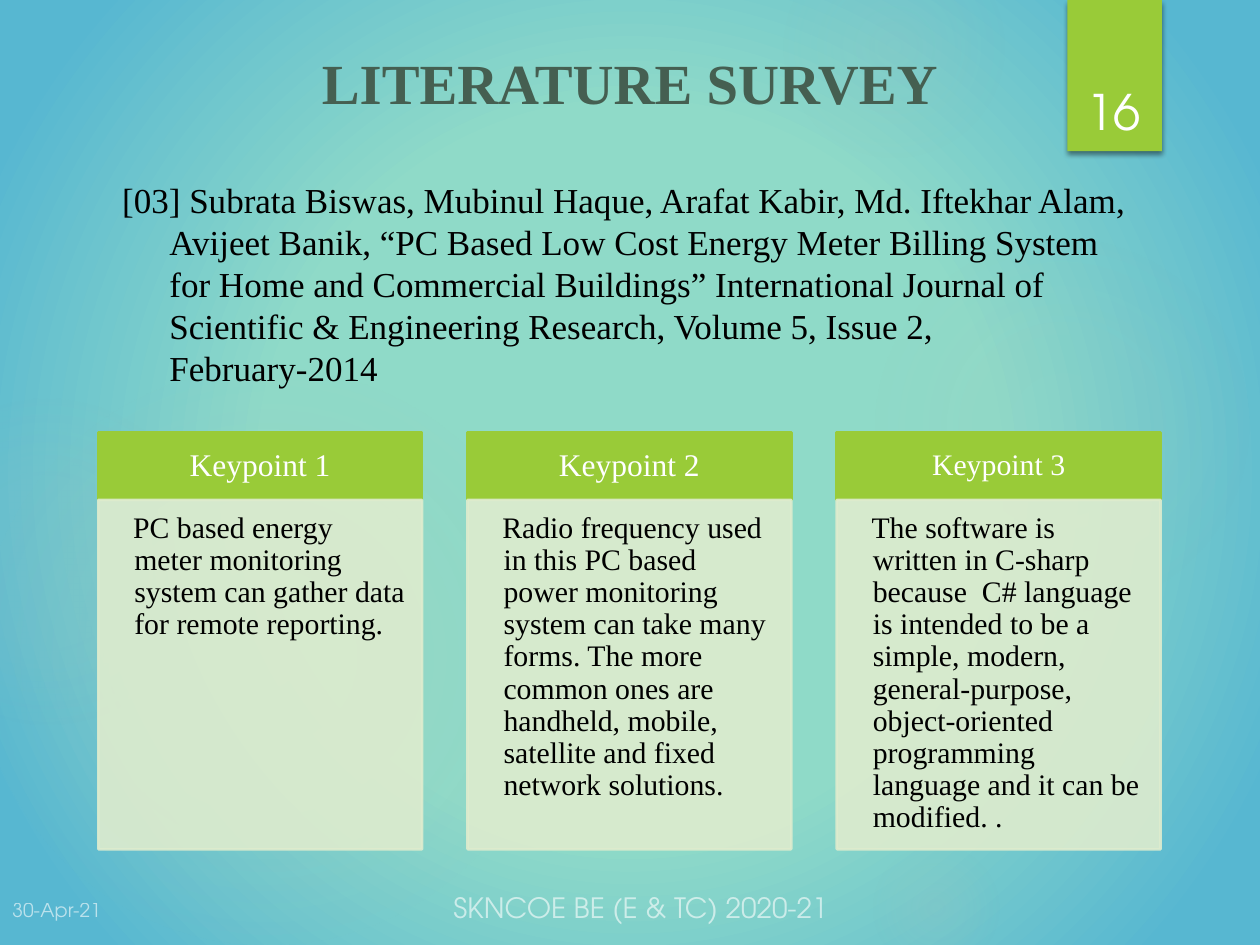
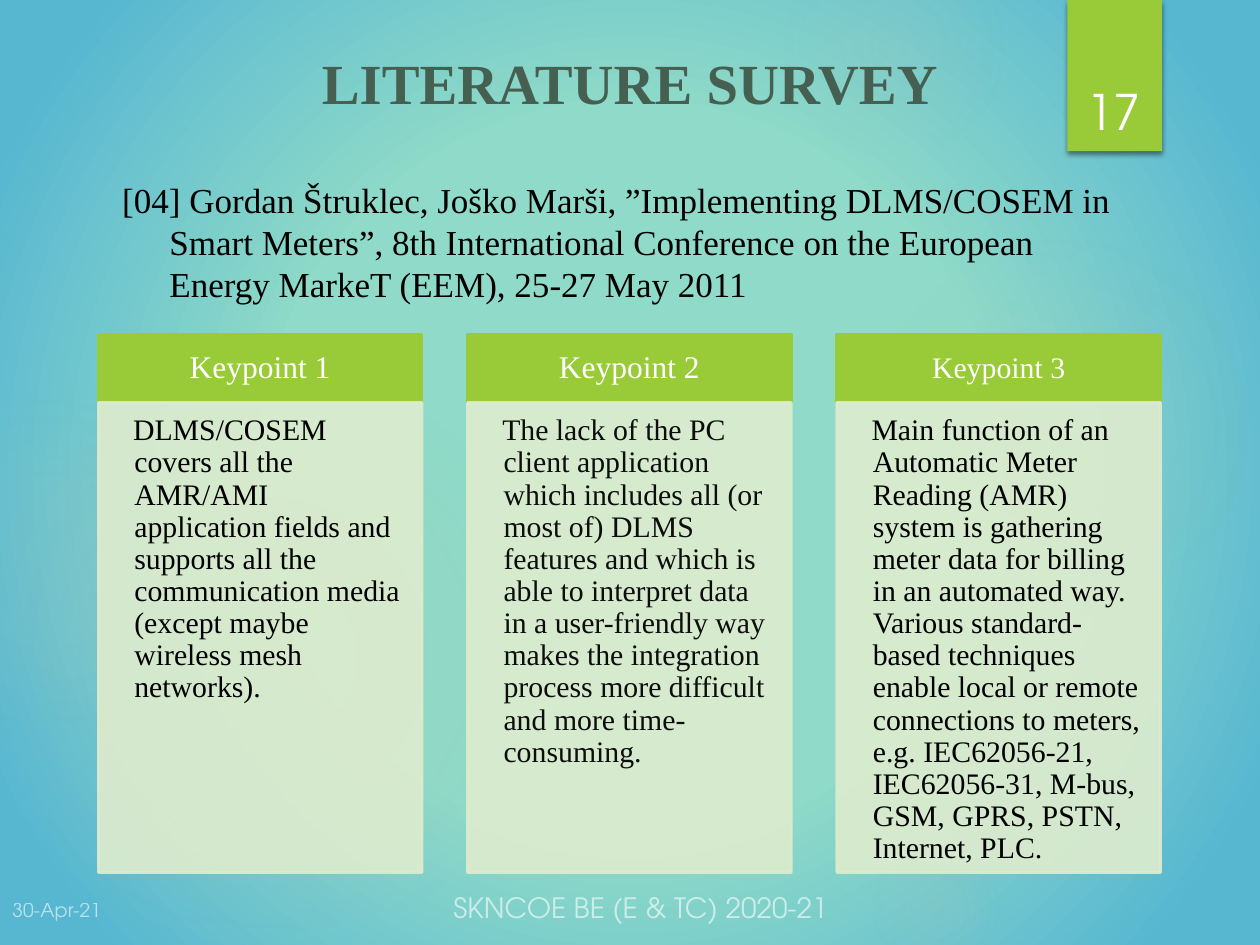
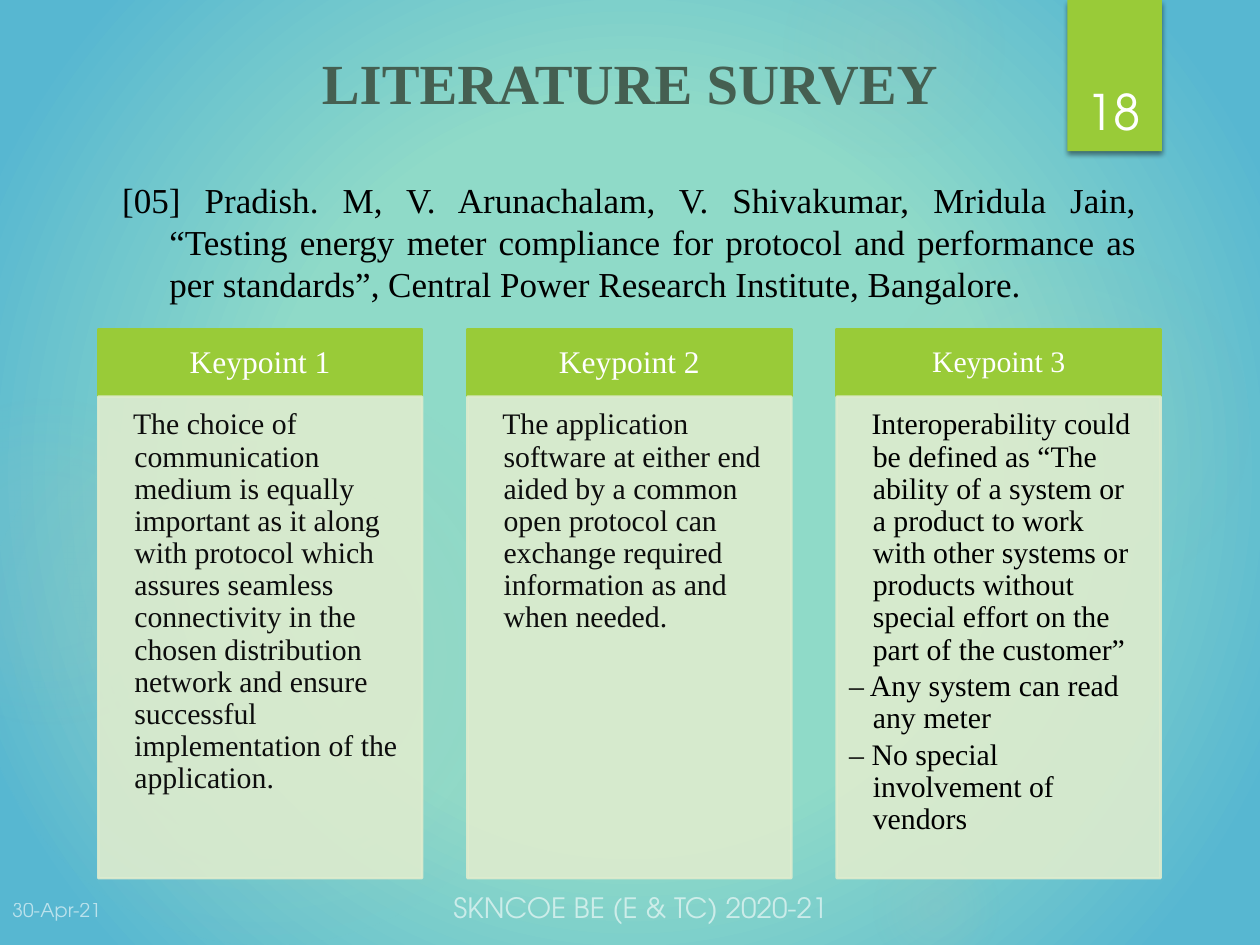
from lxml.etree import SubElement as sub
from pptx import Presentation
from pptx.dml.color import RGBColor as RGB
from pptx.enum.shapes import MSO_SHAPE as SHAPE
from pptx.enum.text import MSO_ANCHOR as ANCHOR, MSO_AUTO_SIZE as AUTO, PP_ALIGN as ALIGN
from pptx.oxml.ns import qn
from pptx.util import Pt

LIME = RGB(0x99, 0xCB, 0x38)
MIST = RGB(0xDE, 0xEC, 0xCE)
SAGE = RGB(0xAF, 0xC5, 0xB9)
AQUA = RGB(0x8F, 0xDA, 0xC8)
SEA = RGB(0x57, 0xB7, 0xD1)
PINE = RGB(0x45, 0x5F, 0x51)
WHITE = RGB(0xFF, 0xFF, 0xFF)
BLACK = RGB(0, 0, 0)
INK = RGB(0x0D, 0x0D, 0x0D)
SERIF = "Times New Roman"
SANS = "TeX Gyre Adventor"

# left, top, size, then (stop, alpha) pairs, in percent
GLOWS = [
    (496, 132, 222, [(0, 7), (36, 6), (69, 0)]),
    (448, -36, 126, [(0, 14), (36, 7), (73, 0)]),
    (496, 480, 78, [(0, 14), (36, 7), (66, 0)]),
    (-12, 210, 330, [(0, 11), (36, 10), (75, 0)]),
    (-66, 228, 186, [(0, 8), (36, 8), (72, 0)]),
]
CARD_X, CARD_W, CARD_STEP, HEAD_H = 56.2, 185, 211, 38.7
HEAD_SIZES = (18, 18, 17)
HANG = 13.5

# number, alignment, reference, cards' top and bottom, cards (colour, paragraphs)
SURVEY = [
    (16, ALIGN.LEFT,
     "[03] Subrata Biswas, Mubinul Haque, Arafat Kabir, Md. Iftekhar Alam, Avijeet Banik, "
     "“PC Based Low Cost Energy Meter Billing System for Home and Commercial Buildings” "
     "International Journal of Scientific & Engineering Research, Volume 5, Issue 2, "
     "February-2014",
     247, 485.3, [
         (BLACK, ["PC based energy meter monitoring system can gather data for remote "
                  "reporting."]),
         (BLACK, ["Radio frequency used in this PC based power monitoring system can take "
                  "many forms. The more common ones are handheld, mobile, satellite and "
                  "fixed network solutions."]),
         (BLACK, ["The software is written in C-sharp because  C# language is intended to "
                  "be a simple, modern, general-purpose, object-oriented programming "
                  "language and it can be modified. ."]),
     ]),
    (17, ALIGN.LEFT,
     "[04] Gordan Štruklec, Joško Marši, ”Implementing DLMS/COSEM in Smart Meters”, "
     "8th International Conference on the European Energy MarkeT (EEM), 25-27 May 2011",
     191.3, 498.6, [
         (BLACK, ["DLMS/COSEM covers all the AMR/AMI application fields and supports all "
                  "the communication media (except maybe wireless mesh networks)."]),
         (INK, ["The lack of the PC client application which includes all (or most of) "
                "DLMS features and which is able to interpret data in a user-friendly way "
                "makes the integration process more difficult and more time-consuming."]),
         (BLACK, ["Main function of an Automatic Meter Reading (AMR) system is gathering "
                  "meter data for billing in an automated way. Various standard-based "
                  "techniques enable local or remote connections to meters, e.g. "
                  "IEC62056-21, IEC62056-31, M-bus, GSM, GPRS, PSTN, Internet, PLC."]),
     ]),
    (18, ALIGN.JUSTIFY,
     "[05] Pradish. M, V. Arunachalam, V. Shivakumar, Mridula Jain, “Testing energy meter "
     "compliance for protocol and performance as per standards”, Central Power Research "
     "Institute, Bangalore.",
     188, 501.8, [
         (INK, ["The choice of communication medium is equally important as it along with "
                "protocol which assures seamless connectivity in the chosen distribution "
                "network and ensure successful implementation of the application."]),
         (INK, ["The application software at either end aided by a common open protocol "
                "can exchange required information as and when needed."]),
         (BLACK, ["Interoperability could be defined as “The ability of a system or a "
                  "product to work with other systems or products without special effort "
                  "on the part of the customer”",
                  "– Any system can read any meter",
                  "– No special involvement of vendors"]),
     ]),
]


def pts(*box):
    return [Pt(n) for n in box]


def place(shape, *box):
    shape.left, shape.top, shape.width, shape.height = pts(*box)


def fade(node, pct):
    """Give every colour inside node an opacity in percent."""
    for tint in node.iter(qn("a:srgbClr")):
        sub(tint, qn("a:alpha"), val=str(pct * 1000))


def blend(node, stops):
    """Swap node's solid fill for a round gradient of (stop, colour, opacity)."""
    old = node.find(qn("a:solidFill"))
    grad = old.makeelement(qn("a:gradFill"), {"rotWithShape": "1"})
    row = sub(grad, qn("a:gsLst"))
    for pos, tint, pct in stops:
        stop = sub(row, qn("a:gs"), pos=str(pos * 1000))
        sub(stop, qn("a:srgbClr"), val=str(tint))
        if pct < 100:
            fade(stop, pct)
    way = sub(grad, qn("a:path"), path="circle")
    sub(way, qn("a:fillToRect"), l="50000", t="50000", r="50000", b="50000")
    node.replace(old, grad)


def write(para, text, size, tint, face=SERIF, bold=False):
    run = para.add_run()
    run.text = text
    font = run.font
    font.size, font.name, font.bold = Pt(size), face, bold
    font.color.rgb = tint
    return run


def hang(para, left, first):
    props = para._p.get_or_add_pPr()
    props.set("marL", str(Pt(left)))
    props.set("indent", str(Pt(first)))
    return props


def block(slide, kind, box, fill, line=None):
    shape = slide.shapes.add_shape(kind, *pts(*box))
    shape.shadow.inherit = False
    shape.fill.solid()
    shape.fill.fore_color.rgb = fill
    if line:
        shape.line.color.rgb = line
        shape.line.width = Pt(1.5)
    else:
        shape.line.fill.background()
    return shape


def label(slide, box, text, size, anchor, align=ALIGN.LEFT):
    frame = slide.shapes.add_textbox(*pts(*box)).text_frame
    frame.word_wrap = True
    frame.vertical_anchor = anchor
    para = frame.paragraphs[0]
    para.alignment = align
    return write(para, text, size, WHITE, SANS)


def paint(master):
    """Fill the master's background."""
    back = master.background.fill
    back.solid()
    back.fore_color.rgb = AQUA
    blend(master.element.find(".//" + qn("p:bgPr")), [(46, AQUA, 100), (90, SEA, 100)])


def backdrop(slide):
    for left, top, size, stops in GLOWS:
        disc = block(slide, SHAPE.OVAL, (left, top, size, size), SAGE)
        blend(disc._element.spPr, [(pos, SAGE, pct) for pos, pct in stops])
    flag = block(slide, SHAPE.RECTANGLE, (610, 0, 54, 86.4), LIME)
    glow = flag._element.spPr.find(qn("a:effectLst"))
    cast = sub(glow, qn("a:outerShdw"), blurRad=str(Pt(3)), dist=str(Pt(2)),
               dir="5400000", rotWithShape="0")
    sub(cast, qn("a:srgbClr"), val=str(BLACK))
    fade(cast, 45)


def footer(slide, number):
    date = label(slide, (0, 510, 127.4, 21.6), "30-Apr-21", 11, ANCHOR.TOP)
    club = label(slide, (252, 513.4, 303.8, 18), "SKNCOE BE (E & TC) 2020-21", 16,
                 ANCHOR.BOTTOM)
    for run in (date, club):
        fade(run._r, 60)
    label(slide, (611.3, 23, 49.7, 60.5), str(number), 28, ANCHOR.BOTTOM, ALIGN.CENTER)


def header(slide):
    title = slide.shapes.title
    place(title, 49.7, 23.8, 620.6, 43.2)
    frame = title.text_frame
    frame.auto_size = AUTO.NONE
    frame.vertical_anchor = ANCHOR.TOP
    para = frame.paragraphs[0]
    para.alignment = ALIGN.CENTER
    write(para, "LITERATURE SURVEY", 32.4, PINE, bold=True)


def cite(slide, text, align):
    body = slide.placeholders[1]
    place(body, 62.6, 98.6, 594, 355.7)
    body.text_frame.auto_size = AUTO.NONE
    para = body.text_frame.paragraphs[0]
    para.alignment = align
    para.space_before = Pt(10)
    sub(hang(para, 27, -27), qn("a:buNone"))
    write(para, text, 20, BLACK)


def card(slide, box, head, size, tint, paras):
    left, top, wide, high = box
    cap = block(slide, SHAPE.RECTANGLE, (left, top, wide, HEAD_H), LIME, LIME)
    frame = cap.text_frame
    frame.vertical_anchor = ANCHOR.MIDDLE
    para = frame.paragraphs[0]
    para.alignment = ALIGN.CENTER
    para.line_spacing = 0.9
    write(para, head, size, WHITE)

    panel = block(slide, SHAPE.RECTANGLE, (left, top + HEAD_H, wide, high - HEAD_H), MIST, MIST)
    fade(panel._element.spPr, 90)
    frame = panel.text_frame
    frame.vertical_anchor = ANCHOR.TOP
    (frame.margin_left, frame.margin_top,
     frame.margin_right, frame.margin_bottom) = pts(7.2, 7.2, 9.4, 10.8)
    for i, text in enumerate(paras):
        para = frame.add_paragraph() if i else frame.paragraphs[0]
        para.alignment = ALIGN.LEFT
        para.line_spacing = 0.9
        para.space_after = Pt(2.5)
        hang(para, HANG, -HANG if text.startswith("–") else -0.75)
        write(para, text, 17, tint)


def survey(deck, number, align, ref, top, bottom, cards):
    slide = deck.slides.add_slide(deck.slide_layouts[1])
    backdrop(slide)
    header(slide)
    footer(slide, number)
    for i, (tint, paras) in enumerate(cards):
        box = (CARD_X + i * CARD_STEP, top, CARD_W, bottom - top)
        card(slide, box, f"Keypoint {i + 1}", HEAD_SIZES[i], tint, paras)
    cite(slide, ref, align)
    tree = slide.shapes._spTree
    for holder in list(slide.placeholders):
        tree.append(holder._element)


def main():
    deck = Presentation()
    deck.slide_width, deck.slide_height = pts(720, 540)
    paint(deck.slide_master)
    for page in SURVEY:
        survey(deck, *page)
    deck.save("out.pptx")


if __name__ == "__main__":
    main()
